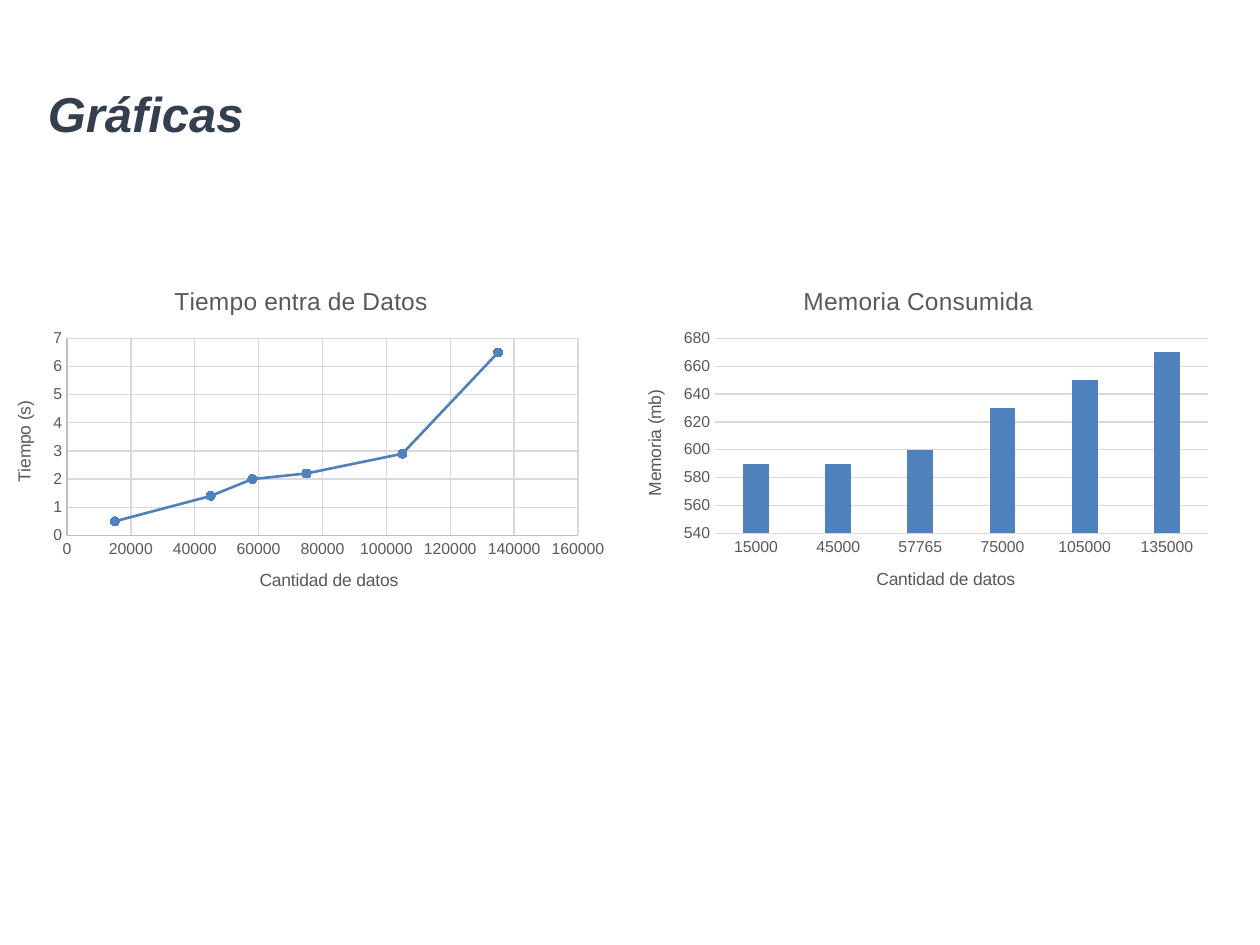
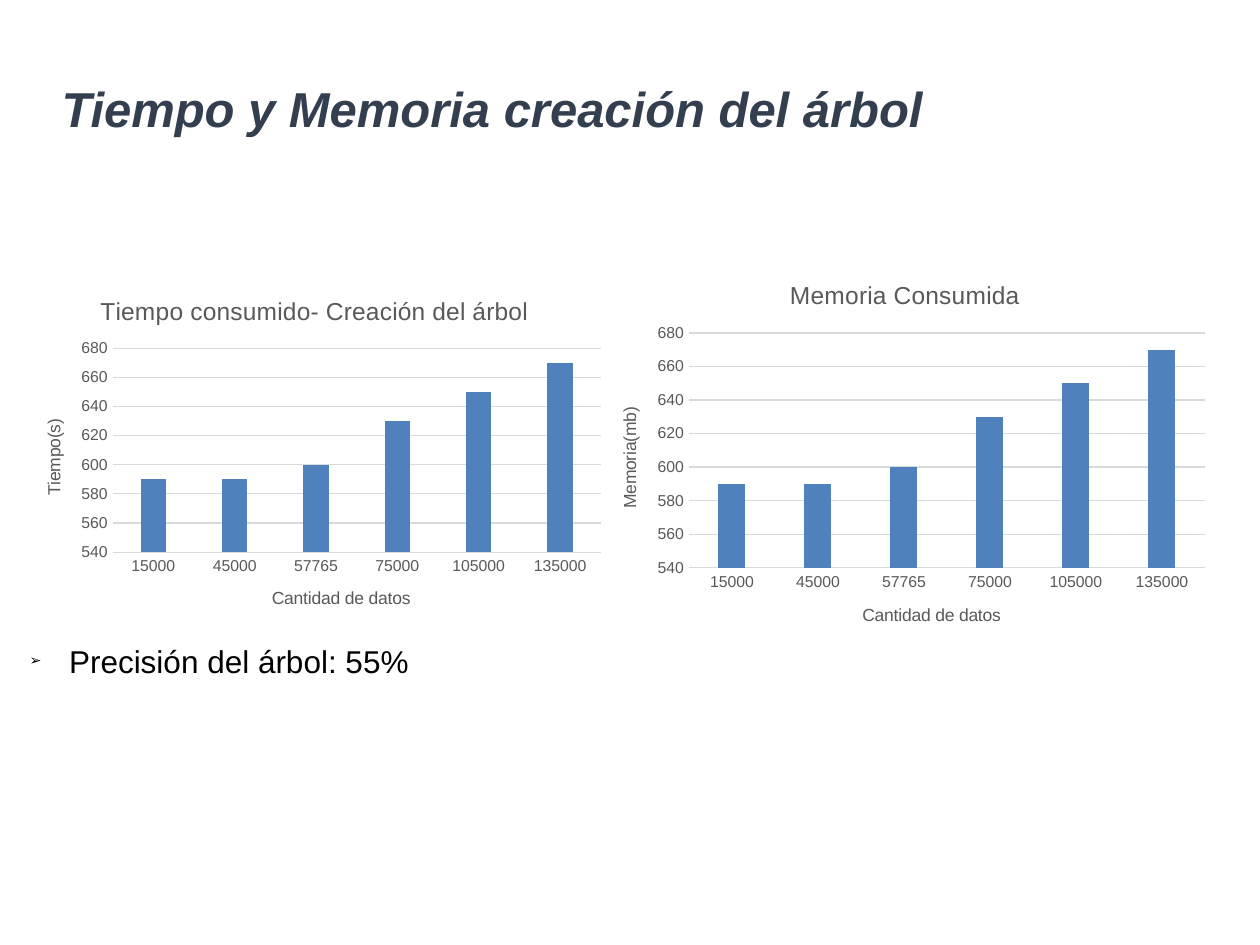
from dataclasses import dataclass
from typing import Any

from lxml.etree import SubElement
from pptx import Presentation
from pptx.chart.data import CategoryChartData, XyChartData
from pptx.dml.color import RGBColor
from pptx.enum.chart import XL_CHART_TYPE as ChartType
from pptx.enum.chart import XL_MARKER_STYLE as Marker
from pptx.enum.chart import XL_TICK_MARK as TickMark
from pptx.enum.text import MSO_ANCHOR as Anchor
from pptx.enum.text import PP_ALIGN as Align
from pptx.oxml.ns import qn
from pptx.util import Pt

NAVY = RGBColor(0x33, 0x3F, 0x4F)
BLACK = RGBColor(0, 0, 0)
GREY = RGBColor(0x59, 0x59, 0x59)
AXIS_GREY = RGBColor(0xBF, 0xBF, 0xBF)
GRID_GREY = RGBColor(0xD9, 0xD9, 0xD9)
BLUE = RGBColor(0x4F, 0x81, 0xBD)
FONT = "Arial"

CATEGORIES = ("15000", "45000", "57765", "75000", "105000", "135000")
MEGABYTES = (590, 590, 600, 630, 650, 670)
TIMINGS = ((15000, 0.5), (45000, 1.4), (58000, 2), (75000, 2.2),
           (105000, 2.9), (135000, 6.5))


@dataclass(frozen=True)
class Box:
    left: float
    top: float
    width: float
    height: float

    def lengths(self) -> tuple:
        return tuple(Pt(n) for n in (self.left, self.top, self.width, self.height))


@dataclass(frozen=True)
class Label:
    text: str
    left: float
    top: float


@dataclass(frozen=True)
class Graph:
    frame: Box
    plot: Box
    title: Label
    x_title: Label
    y_title: Label
    scatter: bool = False


@dataclass(frozen=True)
class Page:
    title: str
    title_box: Box
    graphs: tuple[Graph, ...]
    bullet: str = ""


PAGES = (
    Page("Gráficas", Box(20.2, 42.5, 620.6, 48.2), (
        Graph(Box(-8, 153.4, 360.7, 199.4), Box(38.3, 193.4, 292, 112.6),
              Label("Tiempo entra de Datos", 97.1, 160.5),
              Label("Cantidad de datos", 146.5, 323),
              Label("Tiempo (s)", 5.5, 227.3), scatter=True),
        Graph(Box(352.8, 153.4, 344.9, 199.4), Box(408.6, 193.4, 281.7, 111.4),
              Label("Memoria Consumida", 456.5, 160.5),
              Label("Cantidad de datos", 499, 322.6),
              Label("Memoria (mb)", 365.8, 221)),
    )),
    Page("Tiempo y Memoria creación del árbol", Box(28.1, 26.9, 620.6, 73.4), (
        Graph(Box(9.4, 159.1, 340.6, 204.5), Box(64.4, 199, 278.9, 116.6),
              Label("Tiempo consumido- Creación del árbol", 54.8, 166.3),
              Label("Cantidad de datos", 153.5, 333.2),
              Label("Tiempo(s)", 22.4, 237.6)),
        Graph(Box(338.4, 149, 357.1, 223.2), Box(393.7, 190.3, 294.9, 134.3),
              Label("Memoria Consumida", 448.8, 157),
              Label("Cantidad de datos", 490.9, 343.4),
              Label("Memoria(mb)", 351.5, 230.9)),
    ), "Precisión del árbol: 55%"),
)


def apply(target: Any, values: dict[str, Any]) -> None:
    for name, value in values.items():
        setattr(target, name, value)


def style_font(font: Any, size: float, color: RGBColor, **extra: Any) -> None:
    apply(font, {"name": FONT, "size": Pt(size), "bold": False, **extra})
    font.color.rgb = color


def style_line(line: Any, color: RGBColor, width: float = 0.75) -> None:
    line.color.rgb = color
    line.width = Pt(width)


def add_text(slide: Any, box: Box, text: str, size: float, color: RGBColor,
             **extra: Any) -> Any:
    frame = slide.shapes.add_textbox(*box.lengths()).text_frame
    frame.word_wrap = True
    para = frame.paragraphs[0]
    span = para.add_run()
    span.text = text
    style_font(span.font, size, color, **extra)
    return frame


def add_bullet(slide: Any, text: str) -> None:
    para = add_text(slide, Box(9.9, 363.3, 360, 28.8), text, 18, BLACK).paragraphs[0]
    para.alignment = Align.JUSTIFY
    properties = para._p.get_or_add_pPr()
    properties.set("marL", str(Pt(22.5)))
    properties.set("indent", str(-Pt(22.5)))
    color = SubElement(properties, qn("a:buClr"))
    SubElement(color, qn("a:srgbClr"), val=str(BLACK))
    SubElement(properties, qn("a:buSzPct"), val="45000")
    SubElement(properties, qn("a:buFont"), typeface=FONT)
    SubElement(properties, qn("a:buChar"), char="➢")


def place(element: Any, index: int, values: dict[str, Any]) -> None:
    for old in element.findall(qn("c:layout")):
        element.remove(old)
    layout = SubElement(element, qn("c:layout"))
    manual = SubElement(layout, qn("c:manualLayout"))
    for name, value in values.items():
        SubElement(manual, qn(f"c:{name}"), val=str(value))
    element.insert(index, layout)


def edge_position(item: Box | Label, frame: Box) -> dict[str, Any]:
    return {"xMode": "edge", "yMode": "edge",
            "x": round((item.left - frame.left) / frame.width, 4),
            "y": round((item.top - frame.top) / frame.height, 4)}


def add_label(title: Any, label: Label, size: float, frame: Box,
              upright: bool = False) -> None:
    text_frame = title.text_frame
    text_frame.text = label.text
    style_font(text_frame.paragraphs[0].runs[0].font, size, GREY)
    if upright:
        text_frame._txBody.bodyPr.set("rot", "-5400000")
        text_frame._txBody.bodyPr.set("vert", "horz")
    place(title._element, 1, edge_position(label, frame))


def style_axis(axis: Any, grid: bool, scale: tuple = ()) -> None:
    apply(axis, {"major_tick_mark": TickMark.NONE, "minor_tick_mark": TickMark.NONE,
                 "has_major_gridlines": grid})
    style_font(axis.tick_labels.font, 9, GREY)
    if grid:
        style_line(axis.major_gridlines.format.line, GRID_GREY)
    if scale:
        apply(axis, dict(zip(("minimum_scale", "maximum_scale", "major_unit"), scale)))


def style_scatter(chart: Any) -> None:
    series = chart.plots[0].series[0]
    series.smooth = False
    style_line(series.format.line, BLUE, 1.5)
    apply(series.marker, {"style": Marker.CIRCLE, "size": 5})
    series.marker.format.fill.solid()
    series.marker.format.fill.fore_color.rgb = BLUE
    style_line(series.marker.format.line, BLUE)
    style_axis(chart.category_axis, True, (0, 160000, 20000))
    style_axis(chart.value_axis, True, (0, 7, 1))
    for axis in (chart.category_axis, chart.value_axis):
        style_line(axis.format.line, AXIS_GREY)


def style_columns(chart: Any) -> None:
    plot = chart.plots[0]
    apply(plot, {"gap_width": 219, "overlap": -27})
    fill = plot.series[0].format.fill
    fill.solid()
    fill.fore_color.rgb = BLUE
    style_axis(chart.category_axis, False)
    style_axis(chart.value_axis, True, (540, 680, 20))
    style_line(chart.category_axis.format.line, GRID_GREY)
    chart.value_axis.format.line.fill.background()
    apply(chart.value_axis.tick_labels,
          {"number_format": "#,##0", "number_format_is_linked": False})


def add_graph(slide: Any, graph: Graph) -> None:
    if graph.scatter:
        kind, data = ChartType.XY_SCATTER_LINES, XyChartData()
        series = data.add_series("Series 1")
        for sample, second in TIMINGS:
            series.add_data_point(sample, second)
    else:
        kind, data = ChartType.COLUMN_CLUSTERED, CategoryChartData()
        data.categories = CATEGORIES
        data.add_series("Series 1", MEGABYTES)
    frame, plot = graph.frame, graph.plot
    chart = slide.shapes.add_chart(kind, *frame.lengths(), data).chart
    apply(chart, {"has_legend": False, "has_title": True})
    style_font(chart.font, 10, BLACK)
    chart.plots[0].vary_by_categories = False
    (style_scatter if graph.scatter else style_columns)(chart)
    add_label(chart.chart_title, graph.title, 14, frame)
    add_label(chart.category_axis.axis_title, graph.x_title, 10, frame)
    add_label(chart.value_axis.axis_title, graph.y_title, 10, frame, upright=True)
    place(chart._chartSpace.chart.plotArea, 0, {
        "layoutTarget": "inner", **edge_position(plot, frame),
        "w": round(plot.width / frame.width, 4),
        "h": round(plot.height / frame.height, 4)})


def main() -> None:
    deck = Presentation()
    apply(deck, {"slide_width": Pt(720), "slide_height": Pt(540)})
    for page in PAGES:
        slide = deck.slides.add_slide(deck.slide_layouts[6])
        title = add_text(slide, page.title_box, page.title, 28, NAVY,
                         bold=True, italic=True)
        title.vertical_anchor = Anchor.MIDDLE
        title.paragraphs[0].line_spacing = 0.9
        for graph in page.graphs:
            add_graph(slide, graph)
        if page.bullet:
            add_bullet(slide, page.bullet)
    deck.save("out.pptx")


if __name__ == "__main__":
    main()
